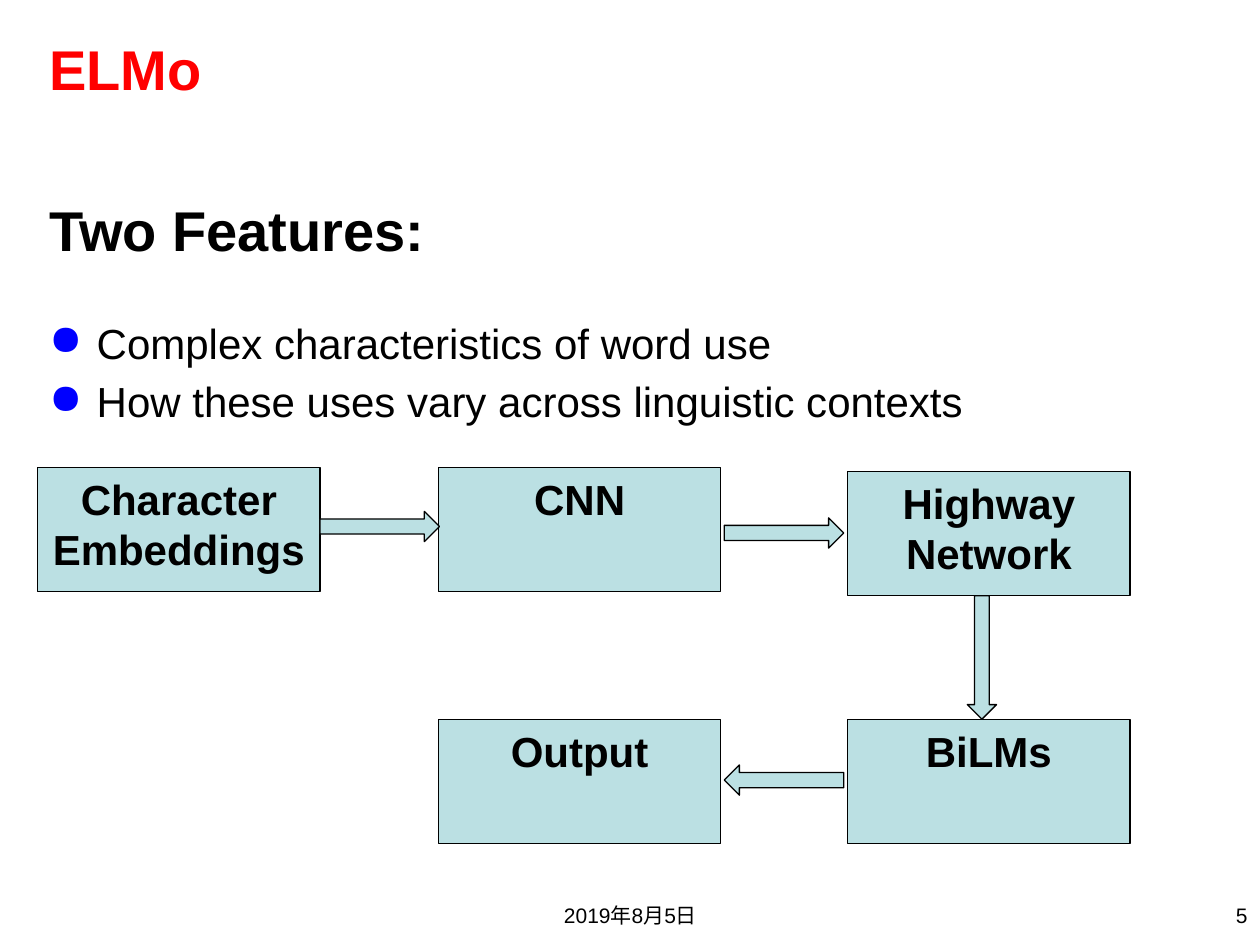
from lxml.etree import SubElement
from pptx import Presentation
from pptx.dml.color import RGBColor
from pptx.enum.shapes import MSO_SHAPE
from pptx.enum.text import MSO_ANCHOR, PP_ALIGN
from pptx.oxml.ns import qn
from pptx.util import Cm, Pt

COLORS = {"title": "FF0000", "text": "000000", "bullet": "0000FF", "fill": "BBE0E3"}
FONT = "Arial"
TITLE = "ELMo"
FEATURES = ["Complex characteristics of word use",
            "How these uses vary across linguistic contexts"]
LABELS = [
    ("Two Features:", (0.74, 3.81, 8.1, 1.63), 32, True, PP_ALIGN.LEFT),
    ("2019年8月5日", (9.75, 18.06, 5.92, 1.32), 12, False, PP_ALIGN.CENTER),
    ("5", (19.48, 18.06, 5.92, 0.99), 12, False, PP_ALIGN.RIGHT),
]
COLUMNS = [0.76, 8.84, 17.09]
STAGE_WIDTH, STAGE_HEIGHT = 5.69, 2.51
STAGES = [
    ("Character Embeddings", 0, 9.42),
    ("CNN", 1, 9.42),
    ("Highway Network", 2, 9.5),
    ("BiLMs", 2, 14.5),
    ("Output", 1, 14.5),
]
ARROWS = [
    (MSO_SHAPE.RIGHT_ARROW, (6.45, 10.31, 2.41, 0.61), 0),
    (MSO_SHAPE.RIGHT_ARROW, (14.6, 10.44, 2.41, 0.61), 0),
    (MSO_SHAPE.DOWN_ARROW, (19.5, 12.01, 0.59, 2.49), 0),
    (MSO_SHAPE.RIGHT_ARROW, (14.6, 15.42, 2.41, 0.61), 180),
]


def color(name):
    """Return the named colour."""
    return RGBColor.from_string(COLORS[name])


def style(paragraph, size, bold=False, align=PP_ALIGN.LEFT, ink="text"):
    """Set the alignment and font of a paragraph."""
    paragraph.alignment = align
    font = paragraph.font
    font.name, font.size, font.bold = FONT, Pt(size), bold
    font.color.rgb = color(ink)


def add_label(page, text, place, size, bold, align):
    """Add a text box with one paragraph."""
    box = page.shapes.add_textbox(*map(Cm, place))
    box.text_frame.word_wrap = True
    paragraph = box.text_frame.paragraphs[0]
    paragraph.text = text
    style(paragraph, size, bold, align)


def add_bullet(paragraph):
    """Give a paragraph a hanging round bullet."""
    properties = paragraph._p.get_or_add_pPr()
    properties.set("marL", str(Cm(0.96)))
    properties.set("indent", str(-Cm(0.96)))
    tint = SubElement(properties, qn("a:buClr"))
    SubElement(tint, qn("a:srgbClr"), val=COLORS["bullet"])
    SubElement(properties, qn("a:buChar"), char="●")


def add_features(page):
    """Add the bulleted feature list."""
    box = page.shapes.add_textbox(Cm(0.74), Cm(6.27), Cm(23.95), Cm(10.74))
    frame = box.text_frame
    frame.word_wrap = True
    for index, feature in enumerate(FEATURES):
        paragraph = frame.add_paragraph() if index else frame.paragraphs[0]
        paragraph.text = feature
        add_bullet(paragraph)
        if index:
            paragraph.space_before = Pt(4.8)
        style(paragraph, 24)


def add_block(page, kind, place):
    """Add a filled and outlined shape."""
    block = page.shapes.add_shape(kind, *map(Cm, place))
    block.shadow.inherit = False
    block.fill.solid()
    block.fill.fore_color.rgb = color("fill")
    block.line.color.rgb = color("text")
    block.line.width = Pt(0.75)
    return block


def main():
    """Build the slide and save it."""
    deck = Presentation()
    deck.slide_width, deck.slide_height = Cm(25.4), Cm(19.05)
    page = deck.slides.add_slide(deck.slide_layouts[5])

    title = page.shapes.title
    title.left, title.top, title.width, title.height = map(Cm, (0.74, 0.33, 23.29, 2.08))
    title.text_frame.text = TITLE
    title.text_frame.vertical_anchor = MSO_ANCHOR.MIDDLE
    style(title.text_frame.paragraphs[0], 32, True, ink="title")

    add_features(page)
    for label in LABELS:
        add_label(page, *label)

    for name, column, top in STAGES:
        place = (COLUMNS[column], top, STAGE_WIDTH, STAGE_HEIGHT)
        frame = add_block(page, MSO_SHAPE.RECTANGLE, place).text_frame
        frame.word_wrap = True
        frame.vertical_anchor = MSO_ANCHOR.TOP
        frame.text = name
        style(frame.paragraphs[0], 24, True, PP_ALIGN.CENTER)

    for kind, place, turn in ARROWS:
        add_block(page, kind, place).rotation = turn

    deck.save("out.pptx")


if __name__ == "__main__":
    main()
